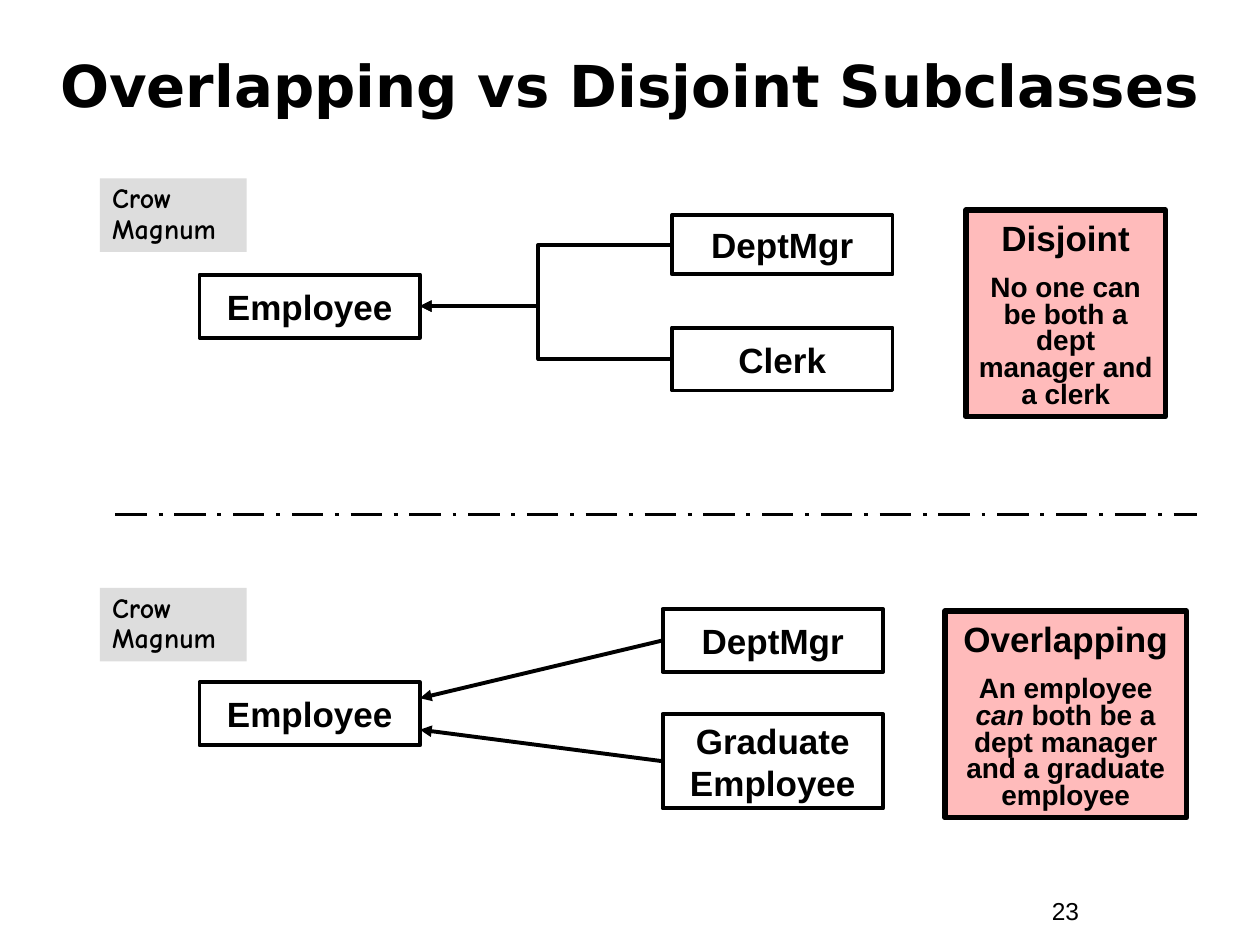
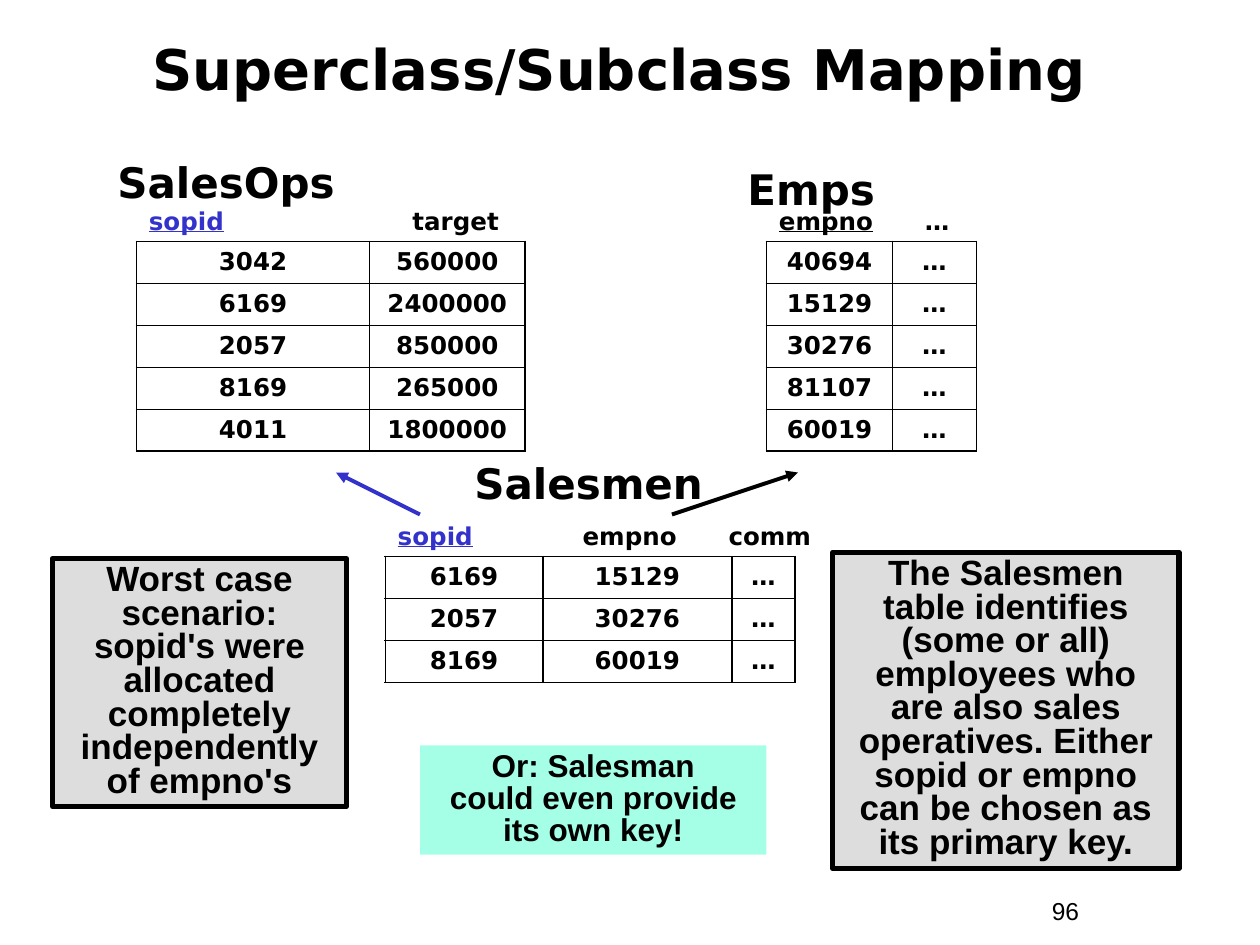
from copy import deepcopy
from lxml.etree import SubElement
from pptx import Presentation
from pptx.dml.color import RGBColor
from pptx.enum.dml import MSO_LINE
from pptx.enum.shapes import MSO_CONNECTOR, MSO_SHAPE
from pptx.enum.text import MSO_ANCHOR, PP_ALIGN
from pptx.oxml import parse_xml
from pptx.oxml.ns import nsdecls, qn
from pptx.util import Inches, Pt

COLORS = {
    "ink": "000000",
    "key": "3333CC",
    "pink": "FFBBBB",
    "gray": "DDDDDD",
    "mint": "A5FFE7",
}
FONTS = {
    "title": {"name": "DejaVu Sans", "size": Pt(33), "bold": True},
    "relation": {"name": "DejaVu Sans", "size": Pt(24), "bold": True},
    "data": {"name": "DejaVu Sans", "size": Pt(14), "bold": True},
    "entity": {"name": "Arial", "size": Pt(20), "bold": True},
    "detail": {"name": "Arial", "size": Pt(16), "bold": True},
    "remark": {"name": "Arial", "size": Pt(18), "bold": True},
    "notation": {"name": "Comic Neue", "size": Pt(16), "bold": True},
    "number": {"name": "Arial", "size": Pt(14)},
}
COLUMNS, ROWS = 120, 90
TOP, LEFT, BOTTOM, RIGHT = range(4)
ROW_HEIGHT = 4


class Deck:
    def __init__(self):
        self.presentation = Presentation()
        self.presentation.slide_width = Inches(10)
        self.presentation.slide_height = Inches(7.5)
        self.slide = None

    def x(self, columns):
        return round(self.presentation.slide_width * columns / COLUMNS)

    def y(self, rows):
        return round(self.presentation.slide_height * rows / ROWS)

    def area(self, left, top, width, height):
        return self.x(left), self.y(top), self.x(width), self.y(height)

    def color(self, name):
        return RGBColor.from_string(COLORS[name])

    def start(self, title, number, title_area, **title_format):
        layout = self.presentation.slide_layouts[6]
        self.slide = self.presentation.slides.add_slide(layout)
        self.text(number, (99, 84.7, 11, 4), "number")
        self.text(title, title_area, "title", align=PP_ALIGN.CENTER,
                  anchor=MSO_ANCHOR.MIDDLE, **title_format)

    def typeset(self, paragraph, runs, font, align=PP_ALIGN.LEFT, spacing=None,
                tabs=(), **changes):
        if tabs:
            stops = SubElement(paragraph._p.get_or_add_pPr(), qn("a:tabLst"))
            for stop in tabs:
                SubElement(stops, qn("a:tab"), pos=str(self.x(stop)), algn="l")
        paragraph.alignment = align
        paragraph.line_spacing = spacing
        for content, override in [(runs, {})] if isinstance(runs, str) else runs:
            look = {"color": "ink", **FONTS[font], **changes, **override}
            shade = look.pop("color")
            for index, line in enumerate(content.split("\n")):
                if index:
                    paragraph.add_line_break()
                    paragraph._p[-1].append(deepcopy(run._r.rPr))
                run = paragraph.add_run()
                run.text = line
                run.font.color.rgb = self.color(shade)
                for attribute, value in look.items():
                    setattr(run.font, attribute, value)

    def frame(self, shape, anchor=MSO_ANCHOR.TOP, wrap=True):
        frame = shape.text_frame
        frame.word_wrap = wrap
        frame.vertical_anchor = anchor
        return frame

    def text(self, runs, area, font, anchor=MSO_ANCHOR.TOP, **style):
        box = self.slide.shapes.add_textbox(*self.area(*area))
        self.typeset(self.frame(box, anchor).paragraphs[0], runs, font, **style)

    def box(self, area, fill=None, border=None, **layout):
        shape = self.slide.shapes.add_shape(MSO_SHAPE.RECTANGLE, *self.area(*area))
        shape.shadow.inherit = False
        if fill:
            shape.fill.solid()
            shape.fill.fore_color.rgb = self.color(fill)
        else:
            shape.fill.background()
        if border:
            shape.line.color.rgb = self.color("ink")
            shape.line.width = Pt(border)
        else:
            shape.line.fill.background()
        return shape, self.frame(shape, **layout)

    def entity(self, name, area):
        shape, frame = self.box(area, border=2.25, anchor=MSO_ANCHOR.MIDDLE, wrap=False)
        self.typeset(frame.paragraphs[0], name, "entity", PP_ALIGN.CENTER)
        return shape

    def note(self, runs, area, fill, font="entity", align=PP_ALIGN.CENTER,
             spacing=0.8, border=None):
        frame = self.box(area, fill, border)[1]
        self.typeset(frame.paragraphs[0], runs, font, align, spacing)
        return frame

    def definition(self, term, meaning, area):
        frame = self.note(term, area, "pink", spacing=None, border=3)
        detail = frame.add_paragraph()
        self.typeset(detail, meaning, "detail", PP_ALIGN.CENTER, 0.8)
        detail.space_before = Pt(10)

    def notation(self, top):
        self.note("Crow\nMagnum", (9.5, top, 14, 7), "gray", "notation",
                  PP_ALIGN.LEFT, 0.9)

    def line(self, start, end, color="ink", arrow=True, dash=None, bend=None):
        kind = MSO_CONNECTOR.ELBOW if bend else MSO_CONNECTOR.STRAIGHT
        connector = self.slide.shapes.add_connector(
            kind, self.x(start[0]), self.y(start[1]), self.x(end[0]), self.y(end[1]))
        connector.line.color.rgb = self.color(color)
        connector.line.width = Pt(2.25)
        if dash:
            connector.line.dash_style = dash
        if arrow:
            SubElement(connector.line._get_or_add_ln(), qn("a:tailEnd"), type="triangle")
        properties = connector._element.spPr
        SubElement(properties, qn("a:effectLst"))
        if bend:
            guides = properties.find(qn("a:prstGeom")).get_or_add_avLst()
            SubElement(guides, qn("a:gd"), name="adj1", fmla=f"val {bend}")
        return connector

    def relation(self, name, name_at, corner, widths, headings, tabs, records):
        left, top = corner
        shape = self.slide.shapes.add_table(
            len(records), len(widths),
            *self.area(left, top, sum(widths), ROW_HEIGHT * len(records)))
        table = shape.table
        table.first_row = table.horz_banding = False
        for column, width in zip(table.columns, widths):
            column.width = self.x(width)
        for row, record in zip(table.rows, records):
            row.height = self.y(ROW_HEIGHT)
            for cell, value in zip(row.cells, record):
                self.cell(cell, value)
        self.text(name, (*name_at, 31, 6), "relation")
        self.text(headings, (left, top - ROW_HEIGHT, 44, ROW_HEIGHT), "data", tabs=tabs)

    def cell(self, cell, value):
        cell.fill.background()
        cell.vertical_anchor = MSO_ANCHOR.MIDDLE
        self.typeset(cell.text_frame.paragraphs[0], value, "data", PP_ALIGN.CENTER, 0.9)
        for index, side in enumerate("LRTB"):
            cell._tc.tcPr.insert(index, parse_xml(
                f'<a:ln{side} {nsdecls("a")} w="{Pt(1.08)}"><a:solidFill>'
                f'<a:srgbClr val="{COLORS["ink"]}"/></a:solidFill></a:ln{side}>'))


def subclasses(deck):
    deck.start("Overlapping vs Disjoint Subclasses", "23", (4, 4, 112, 8))

    employee = deck.entity("Employee", (19, 26.16, 21, 6))
    manager = deck.entity("DeptMgr", (64, 20.5, 21, 5.64))
    clerk = deck.entity("Clerk", (64, 31.2, 21, 6))
    for subclass, middle in ((manager, 23.32), (clerk, 34.2)):
        branch = deck.line((64, middle), (40, 29.16), bend=53000)
        branch.begin_connect(subclass, LEFT)
        branch.end_connect(employee, RIGHT)
    deck.definition("Disjoint", "No one can be both a dept manager and a clerk",
                    (92, 20, 19, 19.7))

    deck.line((11, 49), (114, 49), arrow=False, dash=MSO_LINE.LONG_DASH_DOT)

    deck.entity("Employee", (19, 65, 21, 6))
    manager = deck.entity("DeptMgr", (63.1, 58, 21, 6))
    graduate = deck.entity("Graduate\nEmployee", (63.1, 68, 21, 9))
    for subclass, middle, target in ((manager, 61, 66.5), (graduate, 72.5, 69.5)):
        deck.line((63.1, middle), (40, target)).begin_connect(subclass, LEFT)
    deck.definition(
        "Overlapping",
        [("An employee ", {}), ("can", {"italic": True}),
         (" both be a dept manager and a graduate employee", {})],
        (90, 58.2, 23, 19.7))

    for top in (17, 56):
        deck.notation(top)


def mapping(deck):
    deck.start("Superclass/Subclass Mapping", "96", (4, 1, 110, 11), size=Pt(32))
    primary = {"underline": True}
    shared = {"underline": True, "color": "key"}

    deck.relation(
        "Emps", (70, 15), (73, 23), (12, 8),
        [("empno", primary), ("\t…", {})], (13.9,),
        [(number, "…") for number in ("40694", "15129", "30276", "81107", "60019")])
    deck.relation(
        "SalesOps", (10, 14.3), (13, 23), (22.2, 14.8),
        [("sopid", shared), ("\ttarget", {})], (25.1,),
        [("3042", "560000"), ("6169", "2400000"), ("2057", "850000"),
         ("8169", "265000"), ("4011", "1800000")])
    deck.relation(
        "Salesmen", (44, 43), (36.7, 53), (15, 18, 6),
        [("sopid", shared), ("\tempno\tcomm", {})], (17.6, 31.5),
        [("6169", "15129", "…"), ("2057", "30276", "…"), ("8169", "60019", "…")])

    deck.note("Worst case scenario:\nsopid's were allocated completely "
              "independently of empno's", (5, 53.2, 28, 23.6), "gray", border=3)
    deck.note("The Salesmen table identifies (some or all) employees who are also "
              "sales operatives. Either sopid or empno can be chosen as its primary key.",
              (79.3, 52.6, 33, 30.1), "gray", border=3)
    deck.line((64, 49), (76, 45))
    deck.line((40, 49), (32, 45), color="key")
    deck.note("Or: Salesman\ncould even provide its own key!", (40, 71, 33, 10.4),
              "mint", "remark", spacing=0.85)


def main():
    deck = Deck()
    subclasses(deck)
    mapping(deck)
    deck.presentation.save("out.pptx")


if __name__ == "__main__":
    main()
